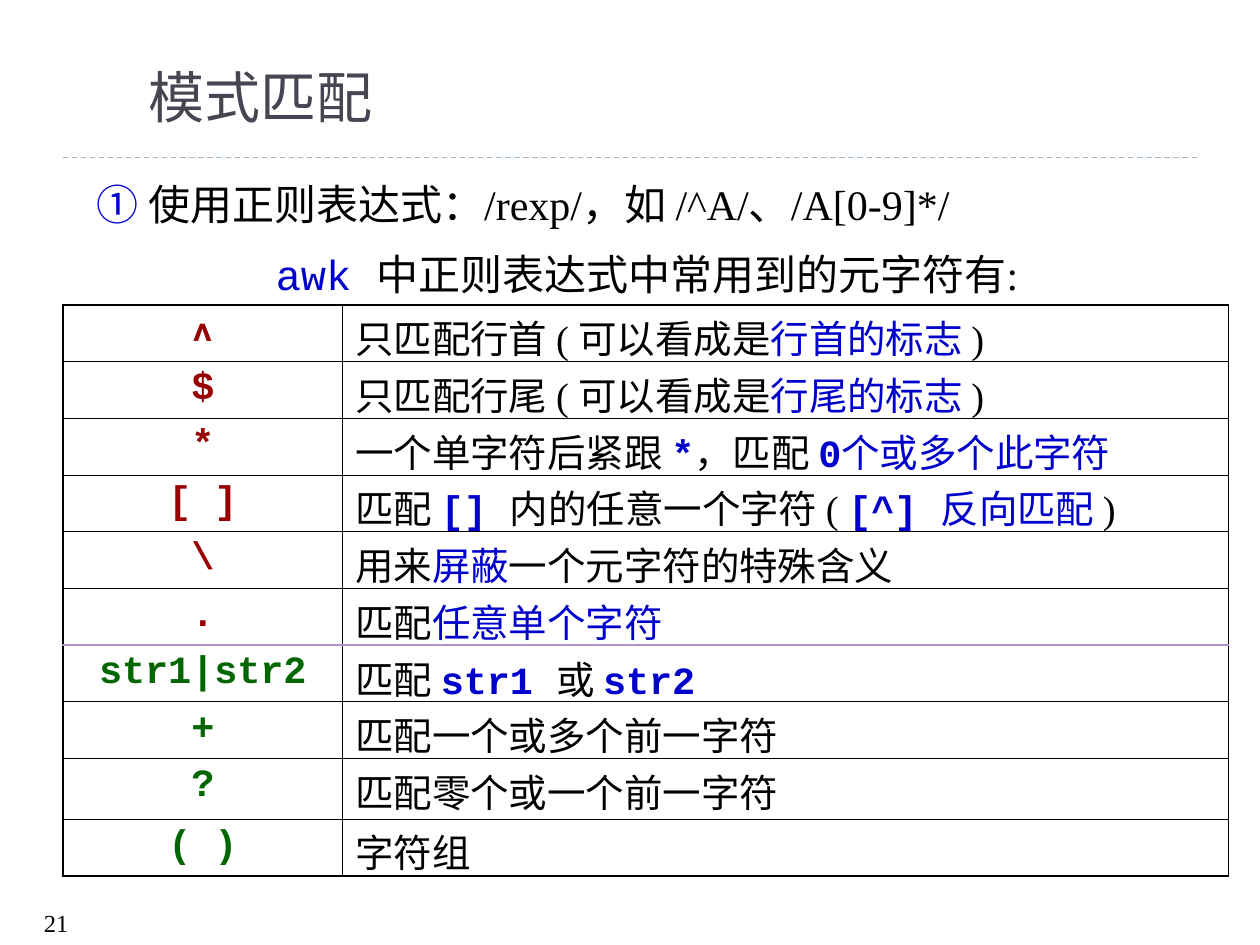
import pptx
import pptx.util
import pptx.dml.color
import pptx.enum.dml
import pptx.enum.shapes
import pptx.enum.text
import pptx.oxml
import pptx.oxml.ns
import lxml.etree

Inches, Pt = pptx.util.Inches, pptx.util.Pt
RGB = pptx.dml.color.RGBColor
ALIGN = pptx.enum.text.PP_ALIGN
ANCHOR = pptx.enum.text.MSO_ANCHOR

BLACK = RGB(0x00, 0x00, 0x00)
BLUE = RGB(0x00, 0x00, 0xCC)
RED = RGB(0x99, 0x00, 0x00)
GREEN = RGB(0x00, 0x66, 0x00)
SLATE = RGB(0x46, 0x46, 0x53)
MIST = RGB(0x9F, 0xB8, 0xCD)
LILAC = RGB(0xB2, 0x92, 0xCA)

SERIF, MONO, SANS = "Times New Roman", "Courier New", "Arial"
CJK = "Noto Sans CJK SC"

# Run styles: font, colour, bold
PLAIN = (SERIF, BLACK, False)
MARK = (SERIF, BLUE, False)
CODE = (MONO, BLUE, True)
WORD = (MONO, BLUE, False)
HEAD = (SANS, SLATE, False)
BASIC = (MONO, RED, True)
EXTRA = (MONO, GREEN, True)
CARET = (CJK, RED, True)

TITLE = [("模式匹配", HEAD)]
INTRO = [("① ", MARK), ("使用正则表达式：/rexp/，如 /^A/、/A[0-9]*/", PLAIN)]
LEAD = [("awk ", WORD), ("中正则表达式中常用到的元字符有:", PLAIN)]
NUMBER = [("21", PLAIN)]

ROWS = [
    ("^", CARET, [("只匹配行首 ( 可以看成是", PLAIN), ("行首的标志 ", MARK),
                  (")", PLAIN)]),
    ("$", BASIC, [("只匹配行尾 ( 可以看成是", PLAIN), ("行尾的标志 ", MARK),
                  (")", PLAIN)]),
    ("*", BASIC, [("一个单字符后紧跟 ", PLAIN), ("*", CODE), ("，匹配 ", PLAIN),
                  ("0", CODE), ("个或多个此字符", MARK)]),
    ("[ ]", BASIC, [("匹配 ", PLAIN), ("[] ", CODE),
                    ("内的任意一个字符 ( ", PLAIN), ("[^] ", CODE),
                    ("反向匹配 ", MARK), (")", PLAIN)]),
    ("\\", BASIC, [("用来", PLAIN), ("屏蔽", MARK),
                   ("一个元字符的特殊含义", PLAIN)]),
    (".", BASIC, [("匹配", PLAIN), ("任意单个字符", MARK)]),
    ("str1|str2", EXTRA, [("匹配 ", PLAIN), ("str1 ", CODE), ("或 ", PLAIN),
                          ("str2", CODE)]),
    ("+", EXTRA, [("匹配一个或多个前一字符", PLAIN)]),
    ("?", EXTRA, [("匹配零个或一个前一字符", PLAIN)]),
    ("( )", EXTRA, [("字符组", PLAIN)]),
]
WIDTHS = (2.22, 7.03)
HIGH = 0.45
TALL = {8: 0.48}
SPLIT = 6  # first row of the extended set
THIN, THICK, RULE = 0.45, 1.08, 1.47


def write(frame, runs, size=22, align=ALIGN.LEFT, space=None):
    """Fill a text frame with one paragraph of styled runs."""
    par = frame.paragraphs[0]
    par.alignment = align
    if space:
        par.line_spacing = space
    for text, (face, tint, bold) in runs:
        run = par.add_run()
        run.text = text
        font = run.font
        font.name, font.size, font.bold = face, Pt(size), bold
        font.color.rgb = tint
        east = lxml.etree.SubElement(run._r.rPr, pptx.oxml.ns.qn("a:ea"))
        east.set("typeface", CJK)


def label(slide, box, runs, **form):
    """Add a wrapped text box."""
    frame = slide.shapes.add_textbox(*map(Inches, box)).text_frame
    frame.word_wrap = True
    write(frame, runs, **form)


def edge(cell, side, width, tint):
    """Draw one border of a cell."""
    line = pptx.oxml.parse_xml(
        f'<a:ln{side} {pptx.oxml.ns.nsdecls("a")} w="{int(Pt(width))}">'
        f'<a:solidFill><a:srgbClr val="{tint}"/></a:solidFill></a:ln{side}>')
    cell._tc.get_or_add_tcPr().append(line)


def border(cell, row, col):
    """Draw the four borders that suit a cell's place in the table."""
    last = len(ROWS)

    def level(num):
        """Give width and colour of the rule above row num."""
        if num == SPLIT:
            return RULE, LILAC
        return (THICK if num in (0, last) else THIN), BLACK

    edge(cell, "L", THIN if col else THICK, BLACK)
    edge(cell, "R", THICK if col else THIN, BLACK)
    edge(cell, "T", *level(row))
    edge(cell, "B", *level(row + 1))


def grid(slide):
    """Build the table of metacharacters."""
    highs = [TALL.get(num, HIGH) for num in range(len(ROWS))]
    box = (0.5, 2.42, sum(WIDTHS), sum(highs))
    table = slide.shapes.add_table(
        len(ROWS), len(WIDTHS), *map(Inches, box)).table
    table.first_row = table.horz_banding = False
    for col, width in zip(table.columns, WIDTHS):
        col.width = Inches(width)
    for num, (sign, style, runs) in enumerate(ROWS):
        table.rows[num].height = Inches(highs[num])
        parts = (([(sign, style)], ALIGN.CENTER), (runs, ALIGN.LEFT))
        for col, (part, align) in enumerate(parts):
            cell = table.cell(num, col)
            write(cell.text_frame, part, align=align, space=0.95)
            border(cell, num, col)
            cell.fill.background()


def rule(slide):
    """Draw the dashed line under the title."""
    line = slide.shapes.add_connector(
        pptx.enum.shapes.MSO_CONNECTOR.STRAIGHT,
        *map(Inches, (0.5, 1.25, 9.5, 1.25)))
    line.line.color.rgb = MIST
    line.line.width = Pt(0.74)
    line.line.dash_style = pptx.enum.dml.MSO_LINE.DASH
    lxml.etree.SubElement(line._element.spPr, pptx.oxml.ns.qn("a:effectLst"))


def build():
    """Make the deck and save it."""
    deck = pptx.Presentation()
    deck.slide_width, deck.slide_height = Inches(10), Inches(7.5)
    slide = deck.slides.add_slide(deck.slide_layouts[5])
    title = slide.shapes.title
    title.left, title.top, title.width, title.height = map(
        Inches, (1.08, 0.25, 8.67, 0.83))
    title.text_frame.vertical_anchor = ANCHOR.BOTTOM
    write(title.text_frame, TITLE, size=32)
    rule(slide)
    label(slide, (0.67, 1.33, 8.67, 0.54), INTRO, size=24, space=1.1)
    label(slide, (0.92, 1.88, 8.43, 0.54), LEAD, size=24, space=1.1,
          align=ALIGN.CENTER)
    grid(slide)
    label(slide, (0.25, 7.16, 2.33, 0.24), NUMBER, size=14)
    deck.save("out.pptx")


build()
